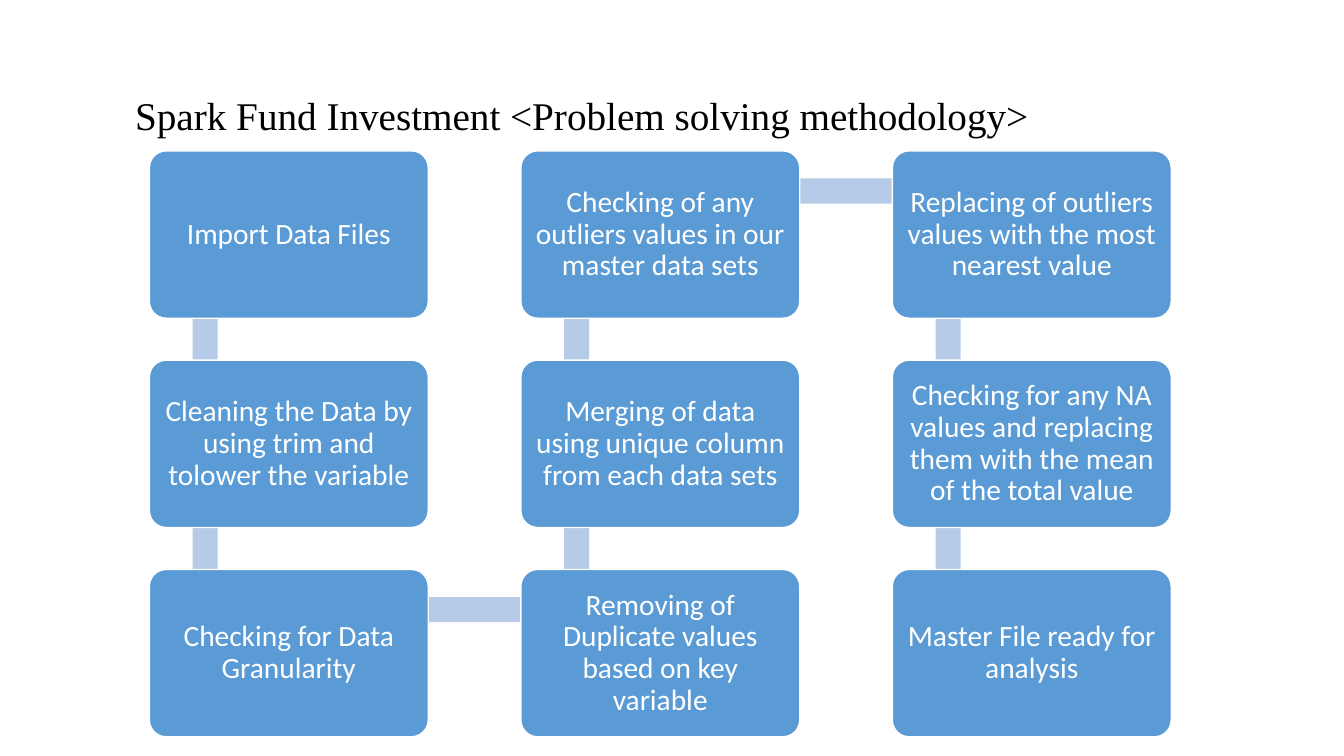
from itertools import pairwise

from pptx import Presentation
from pptx.dml.color import RGBColor
from pptx.enum.shapes import MSO_SHAPE
from pptx.enum.text import MSO_ANCHOR, PP_ALIGN
from pptx.util import Pt

RECT, ROUND = MSO_SHAPE.RECTANGLE, MSO_SHAPE.ROUNDED_RECTANGLE
MIDDLE, CENTER = MSO_ANCHOR.MIDDLE, PP_ALIGN.CENTER
BLUE = RGBColor(0x5B, 0x9B, 0xD5)
PALE = RGBColor(0xB5, 0xCB, 0xE7)
WHITE = RGBColor(0xFF, 0xFF, 0xFF)
BLACK = RGBColor(0, 0, 0)

TITLE = "Spark Fund Investment <Problem solving methodology>"
STEPS = [
    "Import Data Files",
    "Cleaning the Data by using trim and tolower the variable",
    "Checking for Data Granularity",
    "Removing of Duplicate values based on key variable",
    "Merging of data using unique column from each data sets",
    "Checking of any outliers values in our master data sets",
    "Replacing of outliers values with the most nearest value",
    "Checking for any NA values and replacing them with the mean of the total value",
    "Master File ready for analysis",
]
ROWS = 3
CARD_W, CARD_H = 199.2, 119.5
BAR = 18


def add_title(slide, left, top, width, height):
    """Write the slide title in the given box."""
    box = slide.shapes.add_textbox(Pt(left), Pt(top), Pt(width), Pt(height))
    frame = box.text_frame
    frame.word_wrap = True
    frame.vertical_anchor = MIDDLE
    para = frame.paragraphs[0]
    para.text = TITLE
    para.line_spacing = 0.9
    para.font.name, para.font.size = "Times New Roman", Pt(28)
    para.font.color.rgb = BLACK


def add_bar(slide, start, end):
    """Draw a pale bar from one card's anchor point to the next."""
    (x1, y1), (x2, y2) = start, end
    left, top = min(x1, x2), min(y1, y2)
    if x1 == x2:
        area = left - BAR / 2, top, BAR, abs(y2 - y1)
    else:
        area = left, top - BAR / 2, abs(x2 - x1), BAR
    bar = slide.shapes.add_shape(RECT, *map(Pt, area))
    bar.shadow.inherit = False
    bar.fill.solid()
    bar.fill.fore_color.rgb = PALE
    bar.line.fill.background()


def add_card(slide, left, top, text):
    """Draw one step card with its text."""
    card = slide.shapes.add_shape(ROUND, Pt(left), Pt(top), Pt(CARD_W), Pt(CARD_H))
    card.adjustments[0] = 0.1
    card.shadow.inherit = False
    card.fill.solid()
    card.fill.fore_color.rgb = BLUE
    card.line.color.rgb = WHITE
    card.line.width = Pt(1)
    frame = card.text_frame
    frame.word_wrap = True
    frame.vertical_anchor = MIDDLE
    frame.margin_left = frame.margin_right = Pt(6.3)
    frame.margin_top = frame.margin_bottom = Pt(6.3)
    para = frame.paragraphs[0]
    para.text = text
    para.alignment = CENTER
    para.line_spacing = 0.9
    para.font.name, para.font.size = "Calibri", Pt(21)
    para.font.color.rgb = WHITE


def add_flow(slide, left, top, width, height):
    """Lay the steps out in columns that run down, up and down."""
    cols = len(STEPS) // ROWS
    step_x = (width - CARD_W) / (cols - 1)
    step_y = (height - CARD_H) / (ROWS - 1)
    spots = []
    for i in range(len(STEPS)):
        col, row = divmod(i, ROWS)
        if col % 2:
            row = ROWS - 1 - row
        spots.append((left + col * step_x, top + row * step_y))
    joints = [(x + CARD_W * 0.2, y + CARD_H * 0.24) for x, y in spots]
    for start, end in pairwise(joints):
        add_bar(slide, start, end)
    for (x, y), text in zip(spots, STEPS):
        add_card(slide, x, y, text)


def main():
    """Build and save the slide."""
    deck = Presentation()
    deck.slide_width, deck.slide_height = Pt(960), Pt(540)
    slide = deck.slides.add_slide(deck.slide_layouts[6])
    add_flow(slide, 106.7, 107.8, 729.9, 418.5)
    add_title(slide, 89.5, 50.4, 733.5, 67.7)
    deck.save("out.pptx")


if __name__ == "__main__":
    main()
